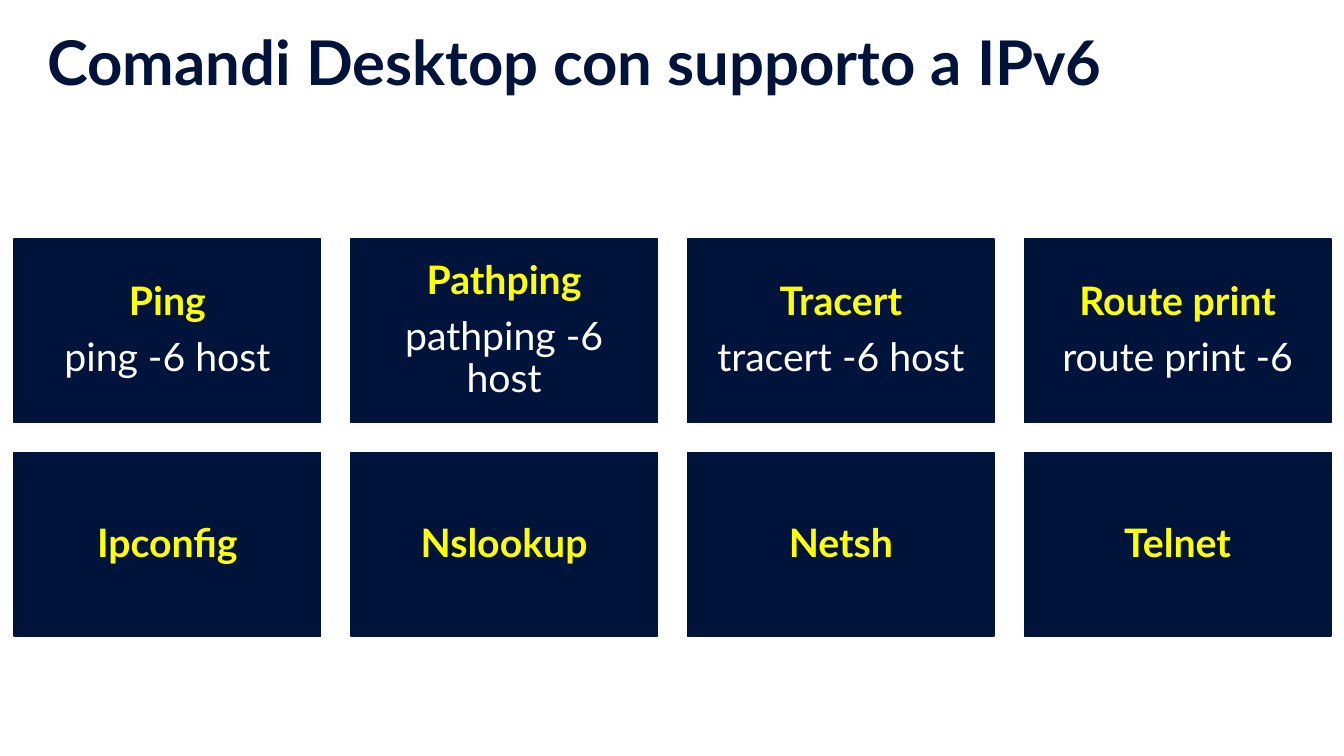
"""Build a slide listing the system commands that support IPv6."""
import pptx
import pptx.dml.color
import pptx.enum.shapes
import pptx.enum.text
import pptx.util
from pptx.util import Inches

NAVY, YELLOW, WHITE = "00133A", "FFFF00", "FFFFFF"
COMMANDS = [
    ("Ping", "ping -6 host"),
    ("Pathping", "pathping -6 host"),
    ("Tracert", "tracert -6 host"),
    ("Route print", "route print -6"),
    ("Ipconfig",),
    ("Nslookup",),
    ("Netsh",),
    ("Telnet",),
]
COLUMNS = 4


def color(value):
    return pptx.dml.color.RGBColor.from_string(value)


def add_span(para, text, size, value, bold):
    para.line_spacing = 0.9
    span = para.add_run()
    span.text = text
    span.font.name = "Lato"
    span.font.size = pptx.util.Pt(size)
    span.font.bold = bold
    span.font.color.rgb = color(value)


deck = pptx.Presentation()
deck.slide_width, deck.slide_height = Inches(13.33), Inches(7.5)
page = deck.slides.add_slide(deck.slide_layouts[5])

title = page.shapes.title
title.left, title.top = Inches(0.37), Inches(0.2)
title.width, title.height = Inches(12.6), Inches(0.91)
title.text_frame.auto_size = pptx.enum.text.MSO_AUTO_SIZE.NONE
title.text_frame.vertical_anchor = pptx.enum.text.MSO_ANCHOR.MIDDLE
heading = title.text_frame.paragraphs[0]
heading.alignment = pptx.enum.text.PP_ALIGN.LEFT
add_span(heading, "Comandi Desktop con supporto a IPv6", 44, NAVY, True)

for index, lines in enumerate(COMMANDS):
    row, column = divmod(index, COLUMNS)
    box = page.shapes.add_shape(
        pptx.enum.shapes.MSO_SHAPE.RECTANGLE,
        Inches(0.14 + 3.34 * column), Inches(2.37 + 2.12 * row),
        Inches(3.04), Inches(1.82))
    box.shadow.inherit = False
    box.fill.solid()
    box.fill.fore_color.rgb = color(NAVY)
    box.line.color.rgb = color(NAVY)
    box.line.width = pptx.util.Pt(1)

    frame = box.text_frame
    frame.word_wrap = True
    frame.vertical_anchor = pptx.enum.text.MSO_ANCHOR.MIDDLE
    frame.margin_left = frame.margin_right = Inches(0.12)
    frame.margin_top = frame.margin_bottom = Inches(0.12)
    for number, line in enumerate(lines):
        para = frame.add_paragraph() if number else frame.paragraphs[0]
        para.alignment = pptx.enum.text.PP_ALIGN.CENTER
        para.space_after = pptx.util.Pt(9.8)
        add_span(para, line, 28, WHITE if number else YELLOW, number == 0)

deck.save("out.pptx")
